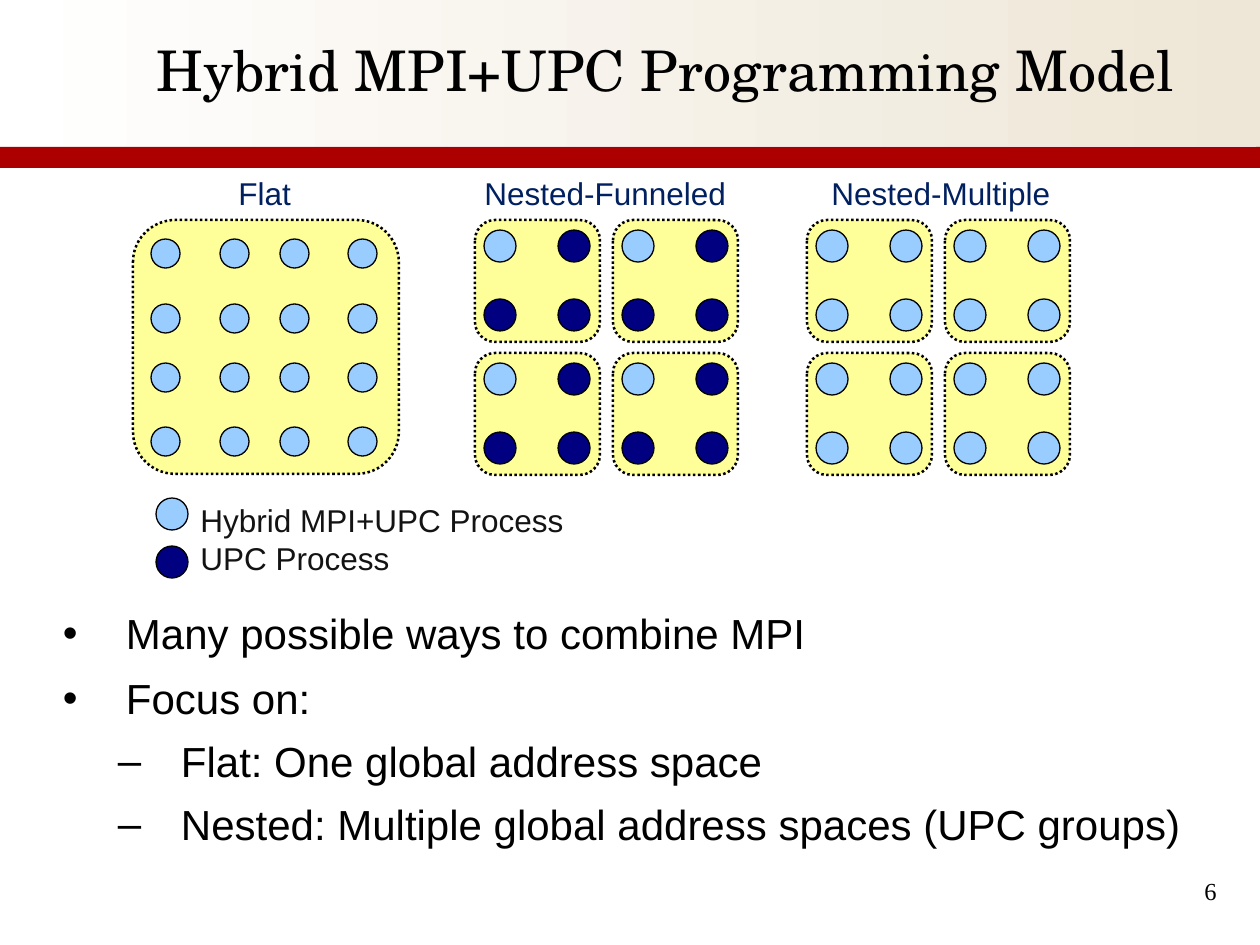
from lxml.etree import SubElement
from pptx import Presentation
from pptx.dml.color import RGBColor
from pptx.enum.dml import MSO_LINE
from pptx.enum.shapes import MSO_CONNECTOR, MSO_SHAPE
from pptx.enum.text import MSO_ANCHOR, PP_ALIGN
from pptx.oxml.ns import qn
from pptx.util import Emu, Pt

PX = 914400 / 126  # EMU in one px

BLACK = RGBColor(0x00, 0x00, 0x00)
WHITE = RGBColor(0xFF, 0xFF, 0xFF)
BEIGE = RGBColor(0xEE, 0xE6, 0xD6)
RED = RGBColor(0xAC, 0x00, 0x00)
YELLOW = RGBColor(0xFF, 0xFF, 0x99)
HYBRID = RGBColor(0x99, 0xCC, 0xFF)
UPC = RGBColor(0x00, 0x00, 0x80)
HEADING = RGBColor(0x00, 0x20, 0x60)
LEGEND_TEXT = RGBColor(0x13, 0x13, 0x13)

# Content
TITLE = "Hybrid MPI+UPC Programming Model"
HEADINGS = [("Flat", 226, 78), ("Nested-Funneled", 472, 270), ("Nested-Multiple", 819, 246)]
LEGEND = [("Hybrid MPI+UPC Process", HYBRID), ("UPC Process", UPC)]
BULLETS = [
    (0, "Many possible ways to combine MPI"),
    (0, "Focus on:"),
    (1, "Flat: One global address space"),
    (1, "Nested: Multiple global address spaces (UPC groups)"),
]
BULLET_STYLES = [("•", 63, 7), ("–", 118, 6)]  # sign, text indent in px, space before in pt
PAGE_NUMBER = "6"

# Process grids
FLAT_COLUMNS, FLAT_ROWS = (151, 220, 280, 348), (239, 304, 363, 427)
GROUP_COLUMNS, GROUP_ROWS = (475, 613), (220, 353)
PROCESS_COLUMNS, PROCESS_ROWS = (9, 83), (10, 79)  # offsets inside a group
NESTED_MODELS = [(0, UPC), (332, HYBRID)]  # shift, colour of the other processes


def px(*lengths):
    return [Emu(round(length * PX)) for length in lengths]


def add_box(shapes, preset, box, colour):
    box_shape = shapes.add_shape(preset, *px(*box))
    box_shape.shadow.inherit = False
    box_shape.fill.solid()
    box_shape.fill.fore_color.rgb = colour
    box_shape.line.fill.background()
    return box_shape


def add_group(shapes, box):
    group = add_box(shapes, MSO_SHAPE.ROUNDED_RECTANGLE, box, YELLOW)
    group.line.color.rgb = BLACK
    group.line.width = Pt(1.45)
    group.line.dash_style = MSO_LINE.ROUND_DOT


def add_process(shapes, left, top, size, colour):
    process = add_box(shapes, MSO_SHAPE.OVAL, (left, top, size, size), colour)
    process.line.color.rgb = BLACK
    process.line.width = Pt(0.75)


def format_text(frame, font, size, colour, align=PP_ALIGN.LEFT, spacing=None):
    for paragraph in frame.paragraphs:
        paragraph.alignment = align
        paragraph.line_spacing = spacing
        for run in paragraph.runs:
            run.font.name = font
            run.font.size = Pt(size)
            run.font.color.rgb = colour


def add_text(shapes, box, text, wrap=True):
    frame = shapes.add_textbox(*px(*box)).text_frame
    frame.word_wrap = wrap
    frame.text = text
    return frame


def clear_margins(frame):
    frame.margin_left = frame.margin_right = frame.margin_top = frame.margin_bottom = 0


def add_bullet(paragraph, sign, indent):
    properties = paragraph._p.get_or_add_pPr()
    properties.set("marL", str(px(indent)[0]))
    properties.set("indent", str(px(-63)[0]))
    bullet_colour = SubElement(properties, qn("a:buClr"))
    SubElement(bullet_colour, qn("a:srgbClr"), val=str(BLACK))
    SubElement(properties, qn("a:buFont"), typeface="Arial")
    SubElement(properties, qn("a:buChar"), char=sign)


def main():
    prs = Presentation()
    prs.slide_width, prs.slide_height = px(1260, 945)
    slide = prs.slides.add_slide(prs.slide_layouts[5])
    shapes = slide.shapes

    # Banner
    banner = add_box(shapes, MSO_SHAPE.RECTANGLE, (0, 0, 1260, 150), BEIGE)
    banner.fill.gradient()
    banner.fill.gradient_angle = 0
    for stop, colour in zip(banner.fill.gradient_stops, (WHITE, BEIGE)):
        stop.color.rgb = colour
    edge = shapes.add_connector(MSO_CONNECTOR.STRAIGHT, *px(0, 147, 1256, 147))
    edge.line.color.rgb = WHITE
    edge.line.width = Pt(1.5)
    SubElement(edge.element.spPr, qn("a:effectLst"))
    add_box(shapes, MSO_SHAPE.RECTANGLE, (0, 147, 1260, 21), RED)

    # Title, brought in front of the banner
    title = shapes.title
    title.element.getparent().append(title.element)
    title.left, title.top, title.width, title.height = px(136, 31, 1060, 83)
    title.text_frame.text = TITLE
    title.text_frame.vertical_anchor = MSO_ANCHOR.MIDDLE
    clear_margins(title.text_frame)
    format_text(title.text_frame, "TeX Gyre Schola", 32, BLACK, PP_ALIGN.CENTER, 0.95)

    # Flat model
    flat = shapes.add_group_shape().shapes
    add_group(flat, (133, 220, 266, 254))
    for top in FLAT_ROWS:
        for left in FLAT_COLUMNS:
            add_process(flat, left, top, 29, HYBRID)

    # Nested models: the first process of each group is hybrid
    for shift, other in NESTED_MODELS:
        for group_top in GROUP_ROWS:
            for group_left in GROUP_COLUMNS:
                left = group_left + shift
                add_group(shapes, (left, group_top, 125, 122))
                for row, y in enumerate(PROCESS_ROWS):
                    for column, x in enumerate(PROCESS_COLUMNS):
                        colour = HYBRID if row == column == 0 else other
                        add_process(shapes, left + x, group_top + y, 32, colour)

    # Model headings
    for heading, left, width in HEADINGS:
        frame = add_text(shapes, (left, 168, width, 50), heading, wrap=False)
        format_text(frame, "Arial", 18, HEADING)

    # Legend
    for row, (_, colour) in enumerate(LEGEND):
        add_process(shapes, 156, 498 + 48 * row, 32, colour)
    legend = add_text(shapes, (188, 495, 588, 92), "\n".join(label for label, _ in LEGEND))
    format_text(legend, "Arial", 18, LEGEND_TEXT)

    # Bullets
    body = add_text(shapes, (63, 606, 1134, 319), "\n".join(text for _, text in BULLETS))
    clear_margins(body)
    for row, (paragraph, (level, _)) in enumerate(zip(body.paragraphs, BULLETS)):
        sign, indent, space = BULLET_STYLES[level]
        paragraph.level = level
        add_bullet(paragraph, sign, indent)
        paragraph.space_before = Pt(space if row else 0)
    format_text(body, "Arial", 24, BLACK, spacing=1.04)

    # Page number
    number = add_text(shapes, (935, 872, 294, 53), PAGE_NUMBER)
    format_text(number, "Times New Roman", 14, BLACK, PP_ALIGN.RIGHT, 0.93)

    prs.save("out.pptx")


if __name__ == "__main__":
    main()
